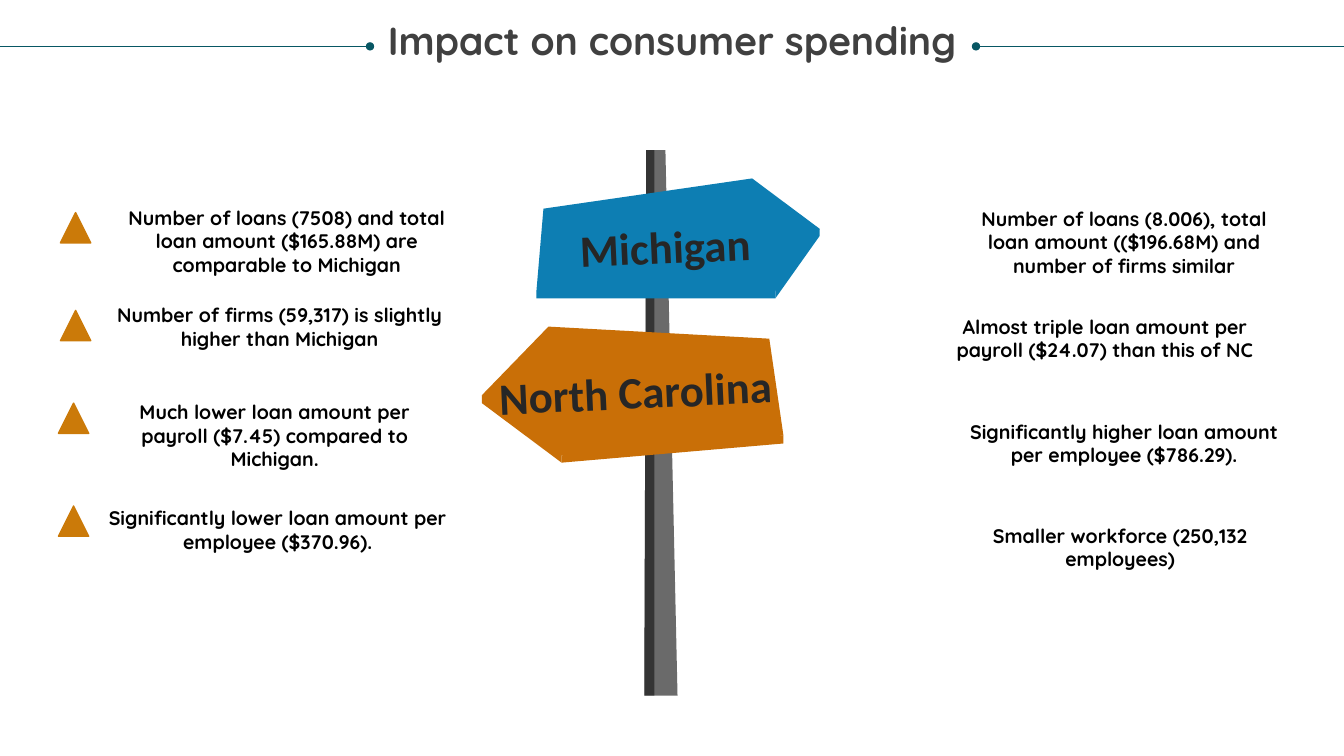
from lxml.etree import SubElement
from pptx import Presentation
from pptx.dml.color import RGBColor
from pptx.enum.shapes import MSO_CONNECTOR as Connector, MSO_SHAPE as Shape
from pptx.enum.text import MSO_ANCHOR as Anchor, MSO_AUTO_SIZE as AutoSize, PP_ALIGN as Align
from pptx.oxml.ns import qn
from pptx.util import Inches, Pt

# Grid: 75 rows over the slide height, with square cells
WIDTH, HEIGHT = Inches(13.33), Inches(7.5)
CELL = HEIGHT / 75
COLUMNS = WIDTH / CELL

TEAL, BLUE, ORANGE, MARKER = "085764", "0D7EB3", "C96F07", "CB7A09"
POLE, BLACK, TITLE_GREY, SIGN_GREY = "6A6A6A", "000000", "404040", "262626"
SIGN_TILT = 357.4

# Wording, marker (column, row), text (column, row), lines
CAROLINA_POINTS = [
    ("Number of loans (7508) and total loan amount ($165.88M) are comparable to Michigan",
     (6, 21.1), (11.5, 19.9), 3),
    ("Number of firms (59,317) is slightly higher than Michigan",
     (6, 30.8), (10.8, 29.6), 2),
    ("Much lower loan amount per payroll ($7.45) compared to Michigan.",
     (5.8, 40), (10.3, 39.2), 3),
    ("Significantly lower loan amount per employee ($370.96).",
     (5.8, 50.2), (10.6, 49.7), 2),
]
# Wording, text (column, row), columns wide, lines
MICHIGAN_POINTS = [
    ("Number of loans (8.006), total loan amount (($196.68M) and number of firms similar",
     (95.1, 19.9), 32.8, 3),
    ("Almost triple loan amount per payroll ($24.07) than this of NC",
     (94.8, 30.7), 29.6, 2),
    ("Significantly higher loan amount per employee ($786.29).",
     (94.6, 41.1), 33.8, 2),
    ("Smaller workforce (250,132 employees)", (94.2, 51.4), 33.8, 2),
]

# Sign faces: lower edges first, the front last
MICHIGAN_FACES = [
    [(53.2, 28.9), (65.4, 27.5), (76.9, 28.9), (76.9, 29.6), (53.2, 29.6)],
    [(76.9, 28.9), (78.1, 25.5), (81.3, 22.7), (81.3, 23.4), (76.9, 29.6)],
    [(53.9, 20.7), (53.2, 28.9), (76.9, 28.9), (81.3, 22.7), (74.6, 17.7)],
]
CAROLINA_FACES = [
    [(47.8, 39.2), (52.9, 41.6), (55.7, 45.2), (55.7, 45.9), (47.8, 40)],
    [(55.7, 45.2), (65.7, 43.2), (77.7, 43.2), (77.7, 44), (55.7, 45.9)],
    [(76.3, 33.6), (54.4, 32.4), (47.8, 39.2), (55.7, 45.2), (77.7, 43.2)],
]


def color(value):
    return RGBColor.from_string(value)


def cells(*counts):
    return [round(count * CELL) for count in counts]


def paint(shape, fill, outline=None):
    shape.shadow.inherit = False
    shape.fill.solid()
    shape.fill.fore_color.rgb = color(fill)
    if outline:
        shape.line.color.rgb = color(outline)
        shape.line.width = Pt(1)
    else:
        shape.line.fill.background()


def polygon(shapes, points, fill):
    start, *rest = [cells(*point) for point in points]
    builder = shapes.build_freeform(*start, scale=1.0)
    builder.add_line_segments(rest, close=True)
    face = builder.convert_to_shape()
    paint(face, fill)
    return face


def write(box, wording, size, font, ink, align, anchor, wrap=True):
    frame = box.text_frame
    frame.text = wording
    frame.word_wrap = wrap
    frame.auto_size = AutoSize.SHAPE_TO_FIT_TEXT
    frame.vertical_anchor = anchor
    paragraph = frame.paragraphs[0]
    paragraph.alignment = align
    paragraph.font.size = Pt(size)
    paragraph.font.name = font
    paragraph.font.bold = True
    paragraph.font.color.rgb = color(ink)
    return frame


def title(shapes, wording):
    box = shapes.add_textbox(*cells(2.5, 2.1, 128.3, 8.5))
    frame = write(box, wording, 28, "Quicksand", TITLE_GREY, Align.CENTER, Anchor.TOP)
    frame.margin_left = frame.margin_right = frame.margin_top = frame.margin_bottom = 0
    frame.paragraphs[0].line_spacing = 0.9


def dotted_rule(shapes, dot, edge):
    rule = shapes.add_connector(Connector.STRAIGHT, *cells(dot, 4.6, edge, 4.6))
    rule.line.color.rgb = color(TEAL)
    rule.line.width = Pt(0.5)
    SubElement(rule.line._get_or_add_ln(), qn("a:headEnd"), type="oval")
    SubElement(rule._element.spPr, qn("a:effectLst"))


def pole(shapes):
    post = shapes.add_group_shape().shapes
    polygon(post, [(64.1, 14.9), (66, 14.9), (67.2, 69), (63.9, 69)], POLE)
    shade = polygon(post, [(64.1, 14.9), (64.9, 14.9), (64.9, 69), (63.9, 69)], BLACK)
    tint = shade._element.spPr.find(qn("a:solidFill"))[0]
    SubElement(tint, qn("a:alpha"), val="50000")


def sign(shapes, name, faces, fill, label_at, wrap):
    board = shapes.add_group_shape().shapes
    for face in faces:
        polygon(board, face, fill)
    label = board.add_textbox(*cells(*label_at))
    label.rotation = SIGN_TILT
    write(label, name, 32, "Calibri", SIGN_GREY, Align.LEFT, Anchor.MIDDLE, wrap)


def point(shapes, wording, corner, columns, lines, anchor):
    box = shapes.add_textbox(*cells(*corner, columns, 2.4 * lines + 0.9))
    frame = write(box, wording, 14, "Quicksand", BLACK, Align.CENTER, anchor)
    frame.margin_left = frame.margin_right = 0


def marker(shapes, corner):
    paint(shapes.add_shape(Shape.ISOSCELES_TRIANGLE, *cells(*corner, 3, 3)), MARKER, MARKER)


def main():
    deck = Presentation()
    deck.slide_width, deck.slide_height = WIDTH, HEIGHT
    shapes = deck.slides.add_slide(deck.slide_layouts[6]).shapes

    # Heading between two rules
    dotted_rule(shapes, 96.8, COLUMNS)
    title(shapes, "Impact on consumer spending")
    dotted_rule(shapes, 36.7, 0)

    # Signpost
    pole(shapes)
    sign(shapes, "Michigan", MICHIGAN_FACES, BLUE, (56.5, 21.2, 19.1, 6.4), False)
    sign(shapes, "North Carolina", CAROLINA_FACES, ORANGE, (48.5, 35.6, 29.3, 6.4), True)

    # Points on either side
    for wording, marker_at, text_at, lines in CAROLINA_POINTS:
        marker(shapes, marker_at)
        point(shapes, wording, text_at, 33.9, lines, Anchor.TOP)
    for wording, text_at, columns, lines in MICHIGAN_POINTS:
        point(shapes, wording, text_at, columns, lines, Anchor.BOTTOM)

    deck.save("out.pptx")


if __name__ == "__main__":
    main()
